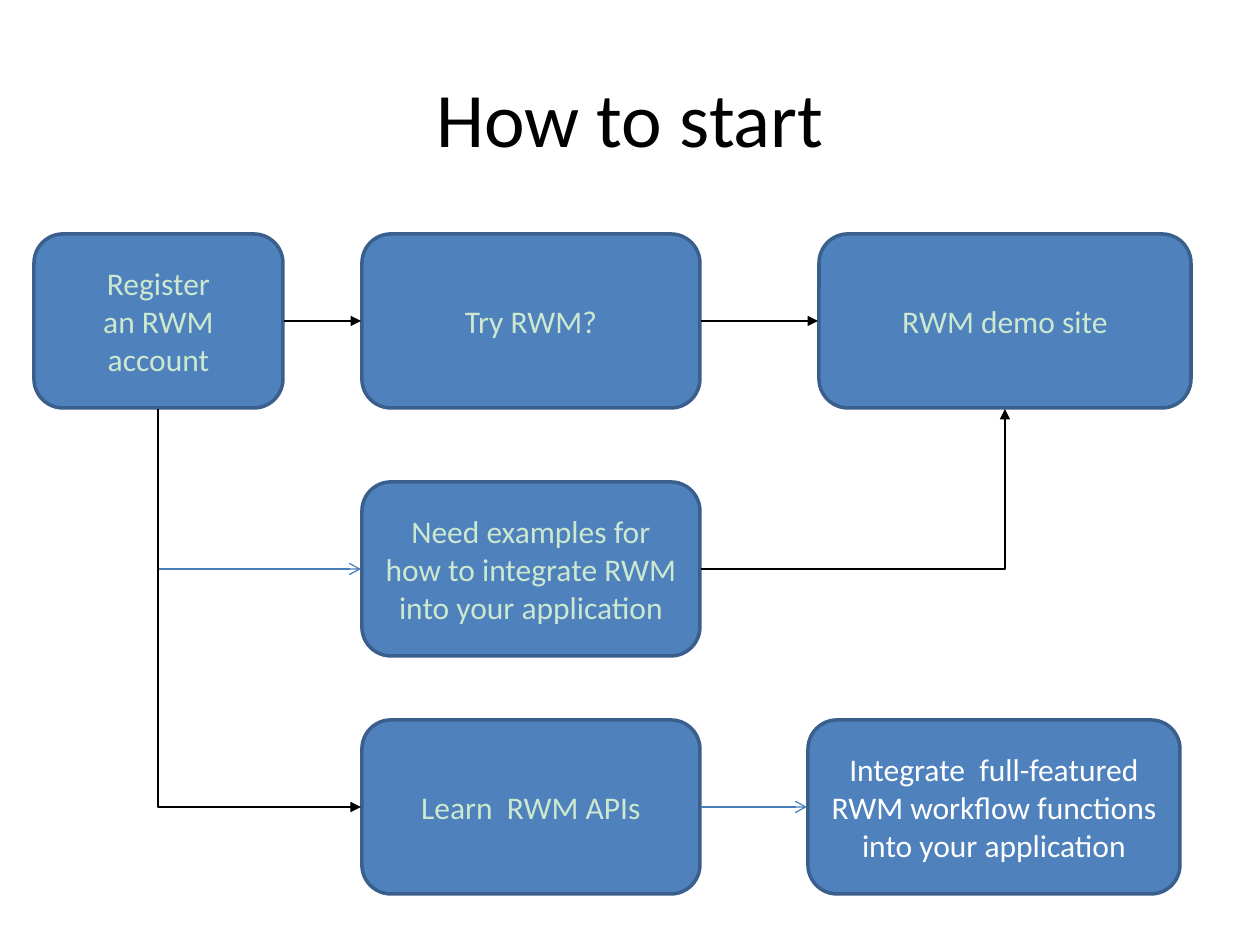
from dataclasses import dataclass

from lxml import etree
from pptx import Presentation
from pptx.dml.color import RGBColor
from pptx.enum.shapes import MSO_CONNECTOR, MSO_SHAPE
from pptx.enum.text import MSO_ANCHOR, PP_ALIGN
from pptx.oxml.ns import qn
from pptx.util import Emu, Pt

ROUNDED = MSO_SHAPE.ROUNDED_RECTANGLE
STRAIGHT, ELBOW = MSO_CONNECTOR.STRAIGHT, MSO_CONNECTOR.ELBOW
CENTER, MIDDLE = PP_ALIGN.CENTER, MSO_ANCHOR.MIDDLE
PIXEL = 914400 // 126
TITLE_LAYOUT = 5
GAP = 1


@dataclass(frozen=True)
class Theme:
    font: str = "Calibri"
    title_size: int = 44
    step_size: int = 18
    border: float = 2
    arrow: float = 0.75
    background: str = "FFFFFF"
    black: str = "000000"
    white: str = "FFFFFF"
    mint: str = "CCE8CF"
    blue: str = "4F81BD"
    edge: str = "3A5F8C"
    link: str = "4A7EBB"


THEME = Theme()


@dataclass(frozen=True)
class Box:
    left: int
    top: int
    width: int
    height: int

    @property
    def right(self):
        return self.left + self.width

    @property
    def bottom(self):
        return self.top + self.height

    @property
    def center(self):
        return self.left + self.width // 2

    @property
    def middle(self):
        return self.top + self.height // 2

    def emu(self):
        return [px(n) for n in (self.left, self.top, self.width, self.height)]


def px(pixels):
    return Emu(round(pixels * PIXEL))


def color(value):
    return RGBColor.from_string(value)


def write(shape, text, *, size, ink):
    frame = shape.text_frame
    frame.word_wrap = True
    frame.vertical_anchor = MIDDLE
    frame.text = text
    for para in frame.paragraphs:
        para.alignment = CENTER
        for span in para.runs:
            span.font.name = THEME.font
            span.font.size = Pt(size)
            span.font.color.rgb = color(ink)


def add_title(page, box, text):
    title = page.shapes.title
    title.left, title.top, title.width, title.height = box.emu()
    write(title, text, size=THEME.title_size, ink=THEME.black)


def add_step(page, box, text, ink):
    step = page.shapes.add_shape(ROUNDED, *box.emu())
    step.shadow.inherit = False
    step.fill.solid()
    step.fill.fore_color.rgb = color(THEME.blue)
    step.line.color.rgb = color(THEME.edge)
    step.line.width = Pt(THEME.border)
    write(step, text, size=THEME.step_size, ink=ink)


def add_arrow(page, kind, start, end, *, ink, head):
    arrow = page.shapes.add_connector(kind, *map(px, start + end))
    arrow.line.color.rgb = color(ink)
    arrow.line.width = Pt(THEME.arrow)
    etree.SubElement(arrow.line._get_or_add_ln(), qn("a:tailEnd"), type=head)
    properties = arrow._element.spPr
    etree.SubElement(properties, qn("a:effectLst"))
    if kind == ELBOW:
        properties.find(qn("a:prstGeom")).set("prst", "bentConnector2")
    return arrow


def join_across(page, source, target, **style):
    add_arrow(page, STRAIGHT, (source.right + GAP, source.middle),
              (target.left - GAP, target.middle), **style)


def join_up(page, source, target, **style):
    add_arrow(page, ELBOW, (source.right + GAP, source.middle),
              (target.center, target.bottom + GAP), **style)


def join_down(page, source, target, **style):
    left, right = source.center, target.left - GAP
    top, bottom = source.bottom + GAP, target.middle
    x, y = (left + right) / 2, (top + bottom) / 2
    half_drop, half_run = (bottom - top) / 2, (right - left) / 2
    arrow = add_arrow(page, ELBOW, (x + half_drop, y - half_run),
                      (x - half_drop, y + half_run), **style)
    arrow.rotation = 270


def add_flow(page, area):
    rows = [area.top + offset for offset in (0, 248, 486)]
    columns = {"first": (0, 249), "choice": (328, 338),
               "demo": (785, 372), "final": (774, 372)}

    def place(column, row):
        offset, width = columns[column]
        return Box(area.left + offset, rows[row], width, 174)

    register, demo = place("first", 0), place("demo", 0)
    attempt, examples, learn = [place("choice", row) for row in range(3)]
    integrate = place("final", 2)
    steps = [
        (register, "Register\nan RWM account", THEME.mint),
        (integrate, "Integrate  full-featured RWM workflow functions "
                    "into your application", THEME.white),
        (demo, "RWM demo site", THEME.mint),
        (learn, "Learn  RWM APIs", THEME.mint),
        (attempt, "Try RWM?", THEME.mint),
        (examples, "Need examples for how to integrate RWM "
                   "into your application", THEME.mint),
    ]
    for box, text, ink in steps:
        add_step(page, box, text, ink)

    open_blue = {"ink": THEME.link, "head": "arrow"}
    solid_black = {"ink": THEME.black, "head": "triangle"}
    for join, source, target, style in [
        (join_across, learn, integrate, open_blue),
        (join_down, register, examples, open_blue),
        (join_across, register, attempt, solid_black),
        (join_across, attempt, demo, solid_black),
        (join_up, examples, demo, solid_black),
        (join_down, register, learn, solid_black),
    ]:
        join(page, source, target, **style)


def build():
    deck = Presentation()
    deck.slide_width, deck.slide_height = px(1260), px(945)
    page = deck.slides.add_slide(deck.slide_layouts[TITLE_LAYOUT])
    page.background.fill.solid()
    page.background.fill.fore_color.rgb = color(THEME.background)
    add_title(page, Box(63, 38, 1134, 158), "How to start")
    add_flow(page, Box(34, 234, 1157, 660))
    deck.save("out.pptx")


build()
